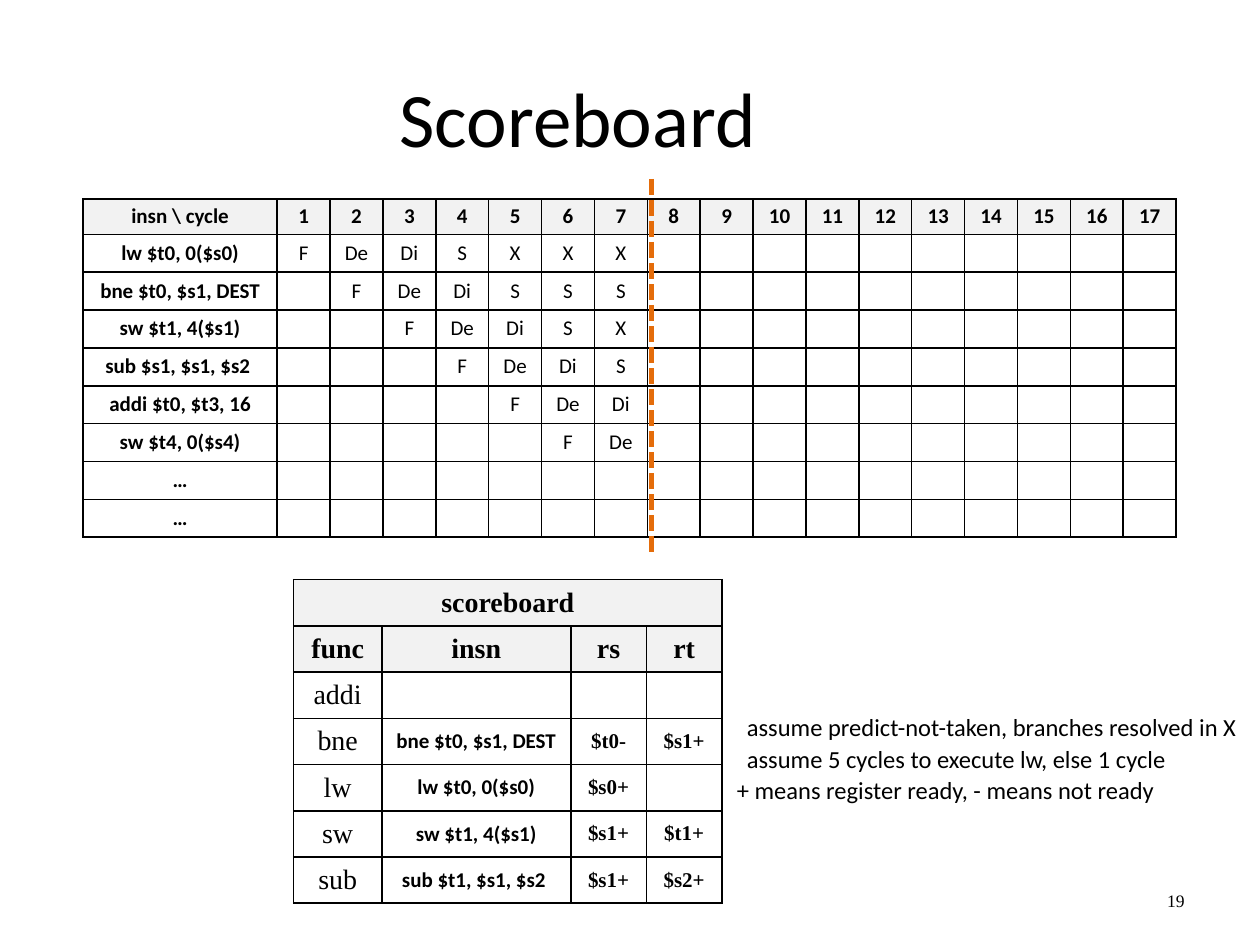
from lxml import etree
from pptx import Presentation
from pptx.dml.color import RGBColor
from pptx.enum.dml import MSO_LINE
from pptx.enum.shapes import MSO_CONNECTOR
from pptx.enum.text import MSO_ANCHOR, PP_ALIGN
from pptx.oxml.ns import qn
from pptx.util import Inches, Pt

BLACK = RGBColor(0x00, 0x00, 0x00)
WHITE = RGBColor(0xFF, 0xFF, 0xFF)
HEADER_GRAY = RGBColor(0xF2, 0xF2, 0xF2)
ORANGE = RGBColor(0xE4, 0x6C, 0x0A)
SANS = "Calibri"
SERIF = "Times New Roman"

CYCLES = 17
PIPELINE = [
    ("lw $t0, 0($s0)", "F De Di S X X X"),
    ("bne $t0, $s1, DEST", "F De Di S S S"),
    ("sw $t1, 4($s1)", "F De Di S X"),
    ("sub $s1, $s1, $s2 ", "F De Di S"),
    ("addi $t0, $t3, 16", "F De Di"),
    ("sw $t4, 0($s4)", "F De"),
    ("…", ""),
    ("…", ""),
]
SCOREBOARD = [
    ("addi", "", "", ""),
    ("bne", "bne $t0, $s1, DEST", "$t0-", "$s1+"),
    ("lw", "lw $t0, 0($s0)", "$s0+", ""),
    ("sw", "sw $t1, 4($s1)", "$s1+", "$t1+"),
    ("sub", "sub $t1, $s1, $s2 ", "$s1+", "$s2+"),
]
NOTES = [
    (0.08, "assume predict-not-taken, branches resolved in X", 4.17),
    (0.08, "assume 5 cycles to execute lw, else 1 cycle", 3.83),
    (0, "+ means register ready, - means not ready", 3.83),
]


def style_paragraph(paragraph, size, font_name, bold=False, align=PP_ALIGN.LEFT):
    """Set the font and alignment of one paragraph."""
    paragraph.alignment = align
    font = paragraph.font
    font.size, font.name, font.bold = Pt(size), font_name, bold
    font.color.rgb = BLACK


def fill_cell(cell, text, size, font_name, bold=False, color=WHITE, spacing=None):
    """Write one bordered, centred table cell."""
    cell.vertical_anchor = MSO_ANCHOR.MIDDLE
    properties = cell._tc.get_or_add_tcPr()
    for side in ("a:lnL", "a:lnR", "a:lnT", "a:lnB"):
        border = etree.SubElement(properties, qn(side), w=str(Pt(1)))
        solid = etree.SubElement(border, qn("a:solidFill"))
        etree.SubElement(solid, qn("a:srgbClr"), val=str(BLACK))
    cell.fill.solid()
    cell.fill.fore_color.rgb = color
    paragraph = cell.text_frame.paragraphs[0]
    if text:
        paragraph.text = text
        paragraph.line_spacing = spacing
    else:
        etree.SubElement(paragraph._p, qn("a:endParaRPr"), sz=str(size * 100))
    style_paragraph(paragraph, size, font_name, bold, PP_ALIGN.CENTER)


def add_plain_table(slide, left, top, widths, heights):
    """Add an unbanded table with the given column widths and row heights."""
    frame = slide.shapes.add_table(
        len(heights), len(widths), Inches(left), Inches(top),
        Inches(sum(widths)), Inches(sum(heights)))
    table = frame.table
    table.first_row = table.horz_banding = False
    for column, width in zip(table.columns, widths):
        column.width = Inches(width)
    for row, height in zip(table.rows, heights):
        row.height = Inches(height)
    return table


def add_pipeline_table(slide, left, top):
    """Place the instruction-by-cycle table."""
    widths = [1.54] + [0.42] * CYCLES
    heights = [0.24] * 2 + [0.25] * (len(PIPELINE) - 1)
    table = add_plain_table(slide, left, top, widths, heights)
    header = ["insn \\ cycle"] + [str(cycle + 1) for cycle in range(CYCLES)]
    for column, text in enumerate(header):
        fill_cell(table.cell(0, column), text, 12, SANS, True, HEADER_GRAY, 0.9)
    for index, (instruction, stages) in enumerate(PIPELINE):
        texts = [instruction] + [""] * index + stages.split()
        texts += [""] * (CYCLES + 1 - len(texts))
        for column, text in enumerate(texts[:CYCLES + 1]):
            fill_cell(table.cell(index + 1, column), text, 12, SANS,
                      column == 0, spacing=0.9)


def add_scoreboard_table(slide, left, top):
    """Place the scoreboard of functional units."""
    heights = [0.22] + [0.3] * (len(SCOREBOARD) + 1)
    table = add_plain_table(slide, left, top, [0.7, 1.5, 0.6, 0.6], heights)
    headers = [("scoreboard", "", "", ""), ("func", "insn", "rs", "rt")]
    for row, texts in enumerate(headers):
        for column, text in enumerate(texts):
            fill_cell(table.cell(row, column), text, 16, SERIF, True, HEADER_GRAY)
    table.cell(0, 0).merge(table.cell(0, 3))
    for row, texts in enumerate(SCOREBOARD, start=len(headers)):
        for column, text in enumerate(texts):
            fill_cell(table.cell(row, column), text, 12 if column else 16,
                      SANS if column == 1 else SERIF, column > 0)


def add_cycle_marker(slide, x, top, height):
    """Draw the dashed line after the current cycle."""
    line = slide.shapes.add_connector(
        MSO_CONNECTOR.STRAIGHT, Inches(x), Inches(top), Inches(x), Inches(top + height))
    line.line.color.rgb = ORANGE
    line.line.width = Pt(3)
    line.line.dash_style = MSO_LINE.SQUARE_DOT
    etree.SubElement(line._element.spPr, qn("a:effectLst"))


def add_text(slide, text, left, top, width, height, size, font_name, align=PP_ALIGN.LEFT):
    """Add a one-line text box anchored in the middle."""
    box = slide.shapes.add_textbox(Inches(left), Inches(top), Inches(width), Inches(height))
    frame = box.text_frame
    frame.word_wrap = True
    frame.vertical_anchor = MSO_ANCHOR.MIDDLE
    frame.text = text
    style_paragraph(frame.paragraphs[0], size, font_name, align=align)


def add_notes(slide, left, top):
    """Stack the assumptions beside the scoreboard."""
    for index, (offset, text, width) in enumerate(NOTES):
        add_text(slide, text, left + offset, top + 0.25 * index, width, 0.5, 14, SANS)


def set_title(slide, text, left, top, width, height):
    """Place and format the title placeholder."""
    title = slide.shapes.title
    title.left, title.top = Inches(left), Inches(top)
    title.width, title.height = Inches(width), Inches(height)
    title.text_frame.text = text
    title.text_frame.vertical_anchor = MSO_ANCHOR.MIDDLE
    style_paragraph(title.text_frame.paragraphs[0], 44, SANS, align=PP_ALIGN.CENTER)


def main():
    """Build the scoreboard slide and save it."""
    presentation = Presentation()
    presentation.slide_width, presentation.slide_height = Inches(10), Inches(7.5)
    slide = presentation.slides.add_slide(presentation.slide_layouts[5])
    set_title(slide, "Scoreboard", 0.5, 0.3, 8.17, 1.25)
    add_text(slide, "19", 8.33, 6.95, 1.17, 0.4, 10, SERIF, PP_ALIGN.RIGHT)
    add_pipeline_table(slide, 0.66, 1.58)
    add_scoreboard_table(slide, 2.33, 4.6)
    add_cycle_marker(slide, 5.17, 1.42, 3)
    add_notes(slide, 5.75, 5.52)
    presentation.save("out.pptx")


if __name__ == "__main__":
    main()
